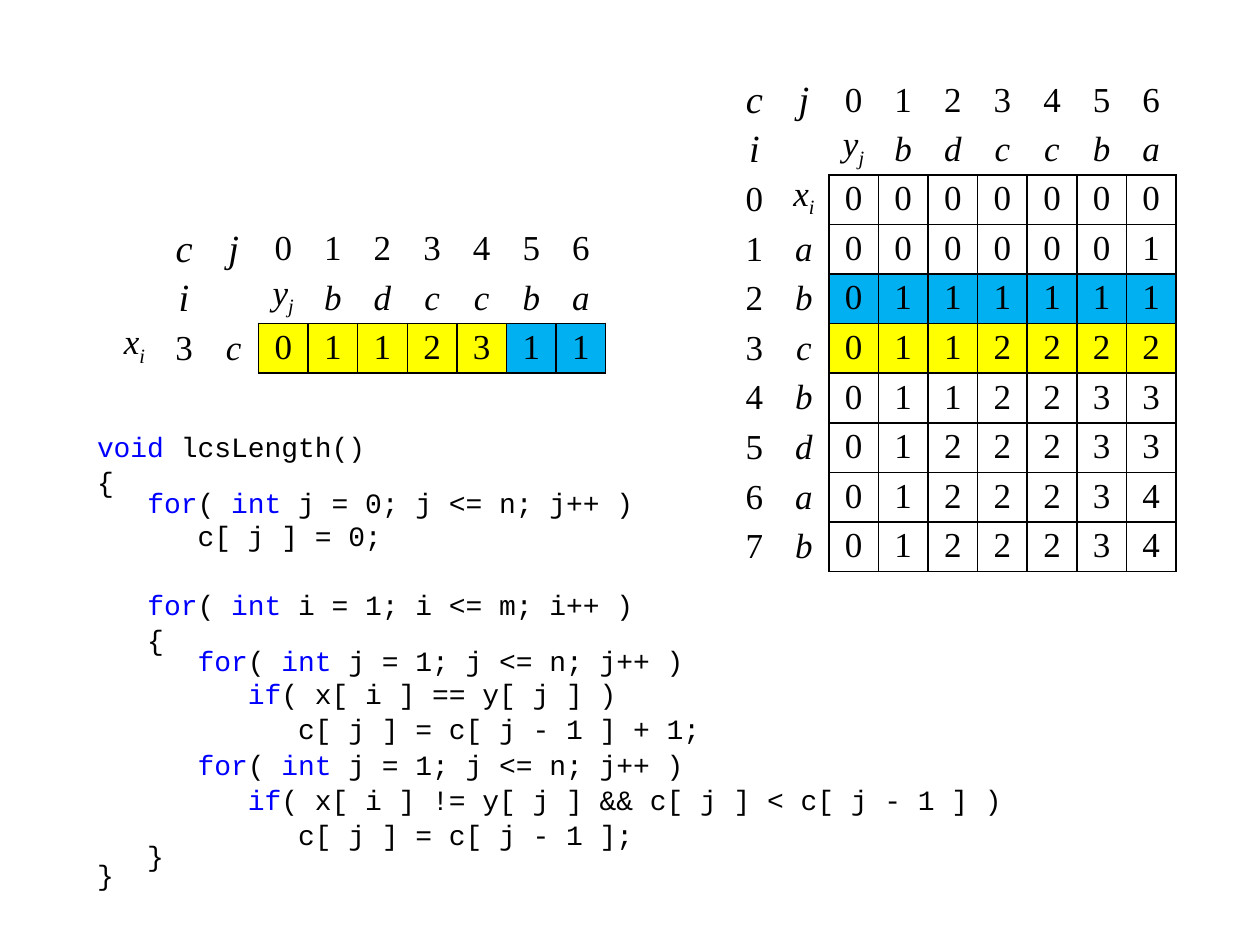
from dataclasses import dataclass
from itertools import product

from lxml.etree import SubElement
from pptx import Presentation
from pptx.dml.color import RGBColor
from pptx.enum.text import MSO_ANCHOR, MSO_AUTO_SIZE, PP_ALIGN
from pptx.oxml.ns import qn
from pptx.slide import Slide
from pptx.util import Inches, Pt

BLACK, WHITE, BLUE = "000000", "FFFFFF", "0000FF"
SKY, YELLOW = "00B0F0", "FFFF00"
NO_GRID_STYLE = "{2D5ABB26-0587-4C30-8999-92F81FD0307C}"
CELL = int(Inches(3.94) / 10)
HEADER_ROWS = 2

# Keywords stand between bars; each line has its line spacing and space before.
CODE = [
    (1, 0, "|void |lcsLength()"),
    (1, 1, "{"),
    (0.5, 1, "   |for|( |int| j = 0; j <= n; j++ )"),
    (1, 1, "      c[ j ] = 0;"),
    (1, 20, "   |for|( |int| i = 1; i <= m; i++ )"),
    (1, 1, "   {"),
    (0.5, 1, "      |for|( |int| j = 1; j <= n; j++ )"),
    (1, 1, "         |if|( x[ i ] == y[ j ] )"),
    (1, 1, "            c[ j ] = c[ j - 1 ] + 1;"),
    (1, 1, "      |for|( |int| j = 1; j <= n; j++ )"),
    (1, 1, "         |if|( x[ i ] != y[ j ] && c[ j ] < c[ j - 1 ] )"),
    (1, 1, "            c[ j ] = c[ j - 1 ];"),
    (0.5, 1, "   }"),
    (0.5, 1, "}"),
]

# An underscore starts a subscript, a comma separates cells.
HEADER = ["c,j,0,1,2,3,4,5,6", "i,,y_j,b,d,c,c,b,a"]
LENGTHS = HEADER + [
    "0,x_i,0,0,0,0,0,0,0",
    "1,a,0,0,0,0,0,0,1",
    "2,b,0,1,1,1,1,1,1",
    "3,c,0,1,1,2,2,2,2",
    "4,b,0,1,1,2,2,3,3",
    "5,d,0,1,2,2,2,3,3",
    "6,a,0,1,2,2,2,3,4",
    "7,b,0,1,2,2,2,3,4",
]
CURRENT_ROW = ["," + line for line in HEADER] + ["x_i,3,c,0,1,1,2,3,1,1"]


def color(value):
    return RGBColor.from_string(value)


@dataclass
class Page:
    slide: Slide
    code_font: str = "Courier New"
    table_font: str = "Times New Roman"
    code_size: int = 16
    value_size: int = 20
    axis_size: int = 22

    def code(self, left, top, width, height, lines):
        box = self.slide.placeholders[1]
        box.left, box.top = Inches(left), Inches(top)
        box.width, box.height = Inches(width), Inches(height)
        frame = box.text_frame
        frame.word_wrap = True
        frame.auto_size = MSO_AUTO_SIZE.NONE
        frame.vertical_anchor = MSO_ANCHOR.TOP
        for index, (spacing, before, line) in enumerate(lines):
            para = frame.add_paragraph() if index else frame.paragraphs[0]
            properties = para._p.get_or_add_pPr()
            properties.set("marL", "0")
            properties.set("indent", "0")
            SubElement(properties, qn("a:buNone"))
            para.line_spacing = spacing
            para.space_before = Pt(before)
            para.font.name = self.code_font
            para.font.size = Pt(self.code_size)
            for part, text in enumerate(line.split("|")):
                if text:
                    span = para.add_run()
                    span.text = text
                    span.font.color.rgb = color(BLUE if part % 2 else BLACK)

    def grid(self, left, top, lines, first_value, fills):
        """Draw a labelled grid; fills maps (row, column) to a highlight."""
        rows = [line.split(",") for line in lines]
        count, width = len(rows), len(rows[0])
        frame = self.slide.shapes.add_table(
            count, width, Inches(left), Inches(top), CELL * width, CELL * count)
        table = frame.table
        table.first_row = table.horz_banding = False
        table._tbl.tblPr.find(qn("a:tableStyleId")).text = NO_GRID_STYLE
        for line in [*table.rows]:
            line.height = CELL
        for column in table.columns:
            column.width = CELL
        for row, column in product(range(count), range(width)):
            cell = table.cell(row, column)
            is_value = row >= HEADER_ROWS and column >= first_value
            is_axis = row < HEADER_ROWS and column < first_value
            self.cell_text(cell, rows[row][column],
                           self.axis_size if is_axis else self.value_size)
            if is_value:
                cell.text_frame.paragraphs[0].line_spacing = 0.95
                self.borders(cell)
            cell.fill.solid()
            cell.fill.fore_color.rgb = color(fills.get((row, column), WHITE))

    def cell_text(self, cell, text, size):
        cell.margin_left = cell.margin_right = Inches(0.1)
        cell.margin_top = cell.margin_bottom = 0
        base, _, subscript = text.partition("_")
        cell.vertical_anchor = MSO_ANCHOR.TOP if subscript else MSO_ANCHOR.MIDDLE
        para = cell.text_frame.paragraphs[0]
        para.alignment = PP_ALIGN.CENTER
        para.font.name = self.table_font
        para.font.size = Pt(size)
        para.font.italic = base.isalpha()
        para.font.color.rgb = color(BLACK)
        if base:
            para.add_run().text = base
        if subscript:
            span = para.add_run()
            span.text = subscript
            span.font._element.set("baseline", "-25000")

    def borders(self, cell):
        properties = cell._tc.get_or_add_tcPr()
        for side in ("a:lnL", "a:lnR", "a:lnT", "a:lnB"):
            line = SubElement(properties, qn(side), w=str(Pt(1)))
            fill = SubElement(line, qn("a:solidFill"))
            SubElement(fill, qn("a:srgbClr"), val=BLACK)


def main():
    deck = Presentation()
    deck.slide_width, deck.slide_height = Inches(10), Inches(7.5)
    slide = deck.slides.add_slide(deck.slide_layouts[1])
    title = slide.shapes.title._element
    title.getparent().remove(title)

    page = Page(slide)
    page.code(0.67, 3.36, 7.48, 3.54, CODE)
    row_fills = {4: SKY, 5: YELLOW}
    page.grid(5.79, 0.6, LENGTHS, 2,
              {(row, column): row_fills[row]
               for row, column in product(row_fills, range(2, 9))})
    page.grid(0.87, 1.78, CURRENT_ROW, 3,
              {(2, column): YELLOW if column < 8 else SKY
               for column in range(3, 10)})
    deck.save("out.pptx")


if __name__ == "__main__":
    main()
